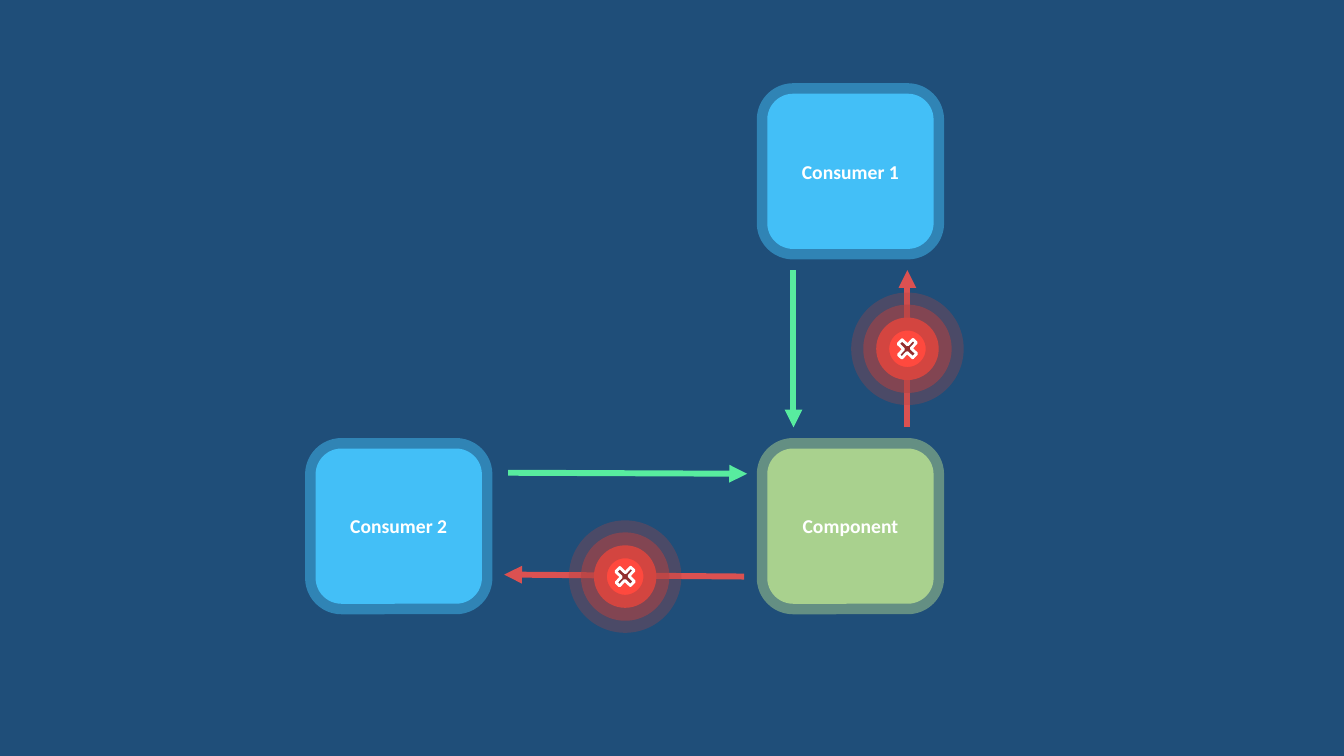
from lxml import etree
from pptx import Presentation
from pptx import util as u
from pptx.dml.color import RGBColor
from pptx.enum import shapes, text
from pptx.oxml.ns import qn

NAVY = RGBColor(0x1F, 0x4E, 0x79)
BLUE = RGBColor(0x43, 0xBF, 0xF7)
LEAF = RGBColor(0xA9, 0xD1, 0x8E)
MINT = RGBColor(0x58, 0xEC, 0x9F)
RED = RGBColor(0xDB, 0x51, 0x51)
GLOW = RGBColor(0xB0, 0x42, 0x42)
ALERT = RGBColor(0xFF, 0x49, 0x3E)
MAROON = RGBColor(0x92, 0x2E, 0x2E)
WHITE = RGBColor(0xFF, 0xFF, 0xFF)


class Diagram:
    font = "Calibri"
    text_size = 14
    node_width, node_height = 1.65, 1.54
    badge_size = 0.62
    cross_width, cross_height = 0.21, 0.2

    def __init__(self, slide):
        self.slide = slide
        slide.background.fill.solid()
        slide.background.fill.fore_color.rgb = NAVY

    def outlined(self, kind, left, top, width, height, fill, line, points, opacity=100):
        shape = self.slide.shapes.add_shape(
            kind, u.Inches(left), u.Inches(top), u.Inches(width), u.Inches(height))
        shape.shadow.inherit = False
        if fill is None:
            shape.fill.background()
        else:
            shape.fill.solid()
            shape.fill.fore_color.rgb = fill
        shape.line.color.rgb = line
        shape.line.width = u.Pt(points)
        if opacity < 100:
            color = shape.line._get_or_add_ln().find(".//" + qn("a:srgbClr"))
            etree.SubElement(color, qn("a:alpha"), val=str(opacity * 1000))
        return shape

    def node(self, label, left, top, color, opacity):
        box = self.outlined(shapes.MSO_SHAPE.ROUNDED_RECTANGLE, left, top,
                            self.node_width, self.node_height, color, color, 15, opacity)
        frame = box.text_frame
        frame.word_wrap = True
        frame.vertical_anchor = text.MSO_ANCHOR.MIDDLE
        paragraph = frame.paragraphs[0]
        paragraph.alignment = text.PP_ALIGN.CENTER
        run = paragraph.add_run()
        run.text = label
        run.font.name = self.font
        run.font.size = u.Pt(self.text_size)
        run.font.bold = True
        run.font.color.rgb = WHITE

    def arrow(self, start, end, color):
        points = [u.Inches(value) for value in (*start, *end)]
        arrow = self.slide.shapes.add_connector(shapes.MSO_CONNECTOR.STRAIGHT, *points)
        arrow.line.color.rgb = color
        arrow.line.width = u.Pt(4.25)
        etree.SubElement(arrow.line._get_or_add_ln(), qn("a:tailEnd"), type="triangle")
        etree.SubElement(arrow._element.spPr, qn("a:effectLst"))

    def blocked(self, center_x, center_y):
        size = self.badge_size
        for fill, points, opacity in ((None, 35.75, 31), (ALERT, 18.5, 54)):
            self.outlined(shapes.MSO_SHAPE.OVAL, center_x - size / 2, center_y - size / 2,
                          size, size, fill, GLOW, points, opacity)
        cross = self.outlined(shapes.MSO_SHAPE.CROSS, center_x - self.cross_width / 2,
                              center_y - self.cross_height / 2, self.cross_width,
                              self.cross_height, MAROON, WHITE, 2)
        cross.adjustments[0] = 0.38
        cross.rotation = 313.5


def main():
    deck = Presentation()
    deck.slide_width, deck.slide_height = u.Inches(13.33), u.Inches(7.5)
    diagram = Diagram(deck.slides.add_slide(deck.slide_layouts[6]))

    diagram.node("Component", 7.61, 4.45, LEAF, 50)
    diagram.node("Consumer 2", 3.13, 4.45, BLUE, 48)
    diagram.arrow((5.04, 4.69), (7.41, 4.7), MINT)
    diagram.arrow((7.38, 5.72), (5, 5.7), RED)
    diagram.blocked(6.2, 5.72)

    diagram.node("Consumer 1", 7.61, 0.93, BLUE, 48)
    diagram.arrow((9, 4.24), (9, 2.68), RED)
    diagram.arrow((7.87, 2.68), (7.87, 4.24), MINT)
    diagram.blocked(9, 3.46)

    deck.save("out.pptx")


if __name__ == "__main__":
    main()
